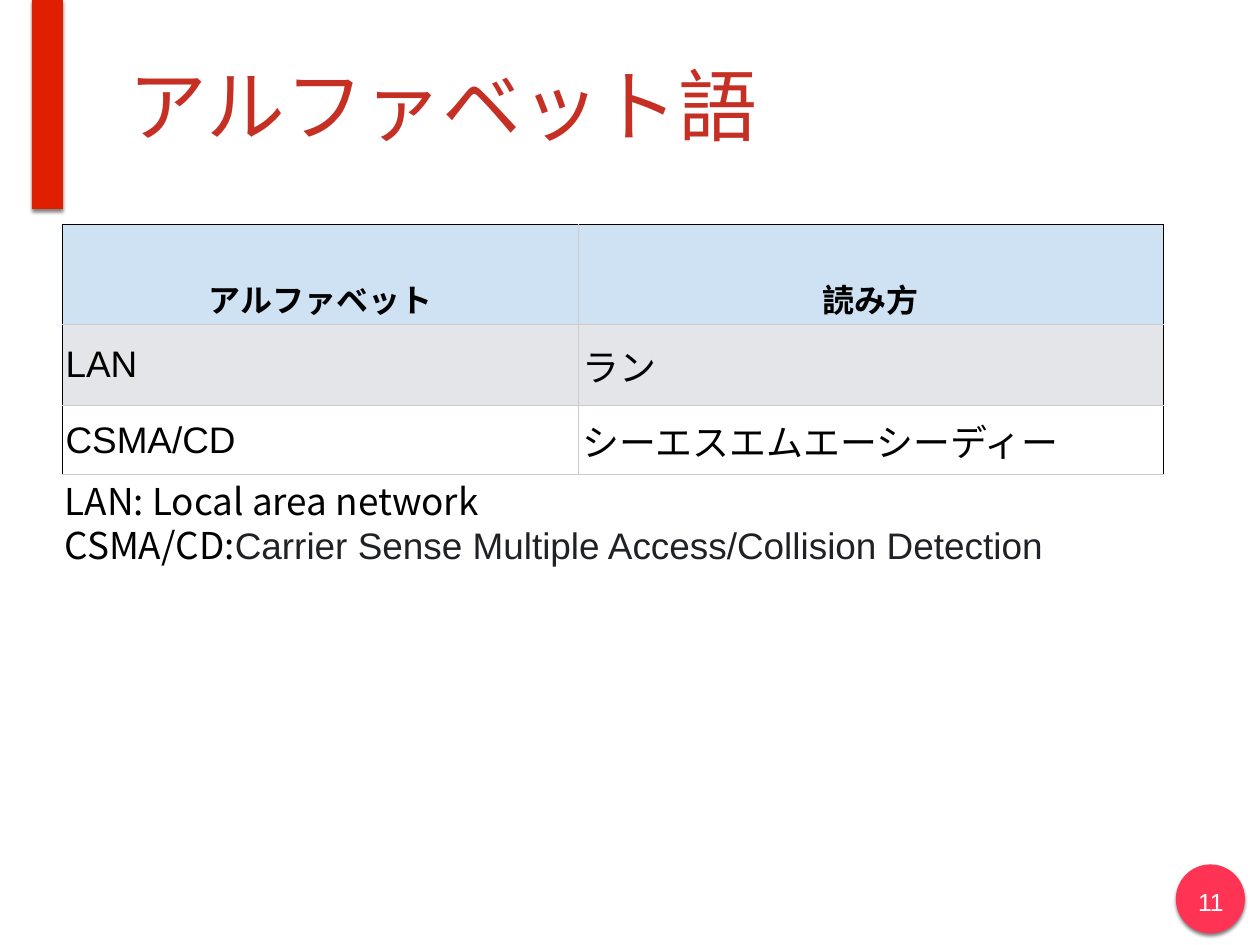
from dataclasses import dataclass

from lxml.etree import SubElement
from pptx import Presentation
from pptx.dml.color import RGBColor
from pptx.enum.shapes import MSO_SHAPE
from pptx.enum.text import MSO_ANCHOR, MSO_AUTO_SIZE, PP_ALIGN
from pptx.oxml import parse_xml
from pptx.oxml.ns import nsdecls, qn
from pptx.util import Inches, Pt

COLORS = {
    "accent": "DF1F00", "badge": "FF3455", "title": "C63024",
    "header": "CFE2F3", "band": "E3E5E8", "white": "FFFFFF",
    "black": "000000", "grid": "CCCCCC", "detail": "202124",
}
JAPANESE = "Noto Sans CJK JP"


@dataclass
class Ornament:
    kind: MSO_SHAPE
    bounds: tuple[float, float, float, float]
    color: str


@dataclass
class Row:
    height: float
    texts: tuple[str, str]
    fill: str
    heading: bool = False


ORNAMENTS = [
    Ornament(MSO_SHAPE.OVAL, (13.27, 9.76, 0.78, 0.78), "badge"),
    Ornament(MSO_SHAPE.RECTANGLE, (0.36, 0, 0.35, 2.36), "accent"),
]
ROWS = [
    Row(0.71, ("アルファベット", "読み方"), "header", True),
    Row(0.92, ("LAN", "ラン"), "band"),
    Row(0.78, ("CSMA/CD", "シーエスエムエーシーディー"), "white"),
]
COLUMN_WIDTHS = [5.83, 6.6]


def color_of(name: str) -> RGBColor:
    return RGBColor.from_string(COLORS[name])


def lengths(bounds) -> list:
    return [Inches(value) for value in bounds]


def write(para, text: str, *, size: float, color: str = "black", font: str = "Arial",
          bold: bool = False, align=PP_ALIGN.LEFT, spacing: float | None = None) -> None:
    """Append a formatted span of text to a paragraph."""
    para.alignment = align
    if spacing:
        para.line_spacing = spacing
    span = para.add_run()
    span.text = text
    span.font.size = Pt(size)
    span.font.bold = bold
    span.font.name = font
    span.font.color.rgb = color_of(color)
    SubElement(span.font._element, qn("a:ea"), typeface=JAPANESE)


def set_frame(frame, margin: float, anchor=MSO_ANCHOR.TOP) -> None:
    frame.word_wrap = True
    frame.auto_size = MSO_AUTO_SIZE.NONE
    frame.vertical_anchor = anchor
    frame.margin_left = frame.margin_right = Inches(margin)
    frame.margin_top = frame.margin_bottom = Inches(margin)


def add_ornament(page, ornament: Ornament) -> None:
    shape = page.shapes.add_shape(ornament.kind, *lengths(ornament.bounds))
    shape.fill.solid()
    shape.fill.fore_color.rgb = color_of(ornament.color)
    shape.line.fill.background()
    shape._element.spPr.append(parse_xml(
        f'<a:effectLst {nsdecls("a")}>'
        f'<a:outerShdw blurRad="{Pt(3)}" dist="{Pt(2)}" dir="5400000" rotWithShape="0">'
        f'<a:srgbClr val="{COLORS["black"]}"><a:alpha val="50000"/></a:srgbClr>'
        '</a:outerShdw></a:effectLst>'))


def add_box(page, bounds: tuple[float, float, float, float], margin: float):
    box = page.shapes.add_textbox(*lengths(bounds))
    set_frame(box.text_frame, margin)
    return box.text_frame


def set_borders(cell, **edges: str) -> None:
    properties = cell._tc.get_or_add_tcPr()
    for position, (side, color) in enumerate(edges.items()):
        properties.insert(position, parse_xml(
            f'<a:ln{side} {nsdecls("a")} w="{Pt(1)}"><a:solidFill>'
            f'<a:srgbClr val="{COLORS[color]}"/></a:solidFill></a:ln{side}>'))


def add_reading_table(page) -> None:
    heights = [row.height for row in ROWS]
    bounds = (0.7, 2.53, sum(COLUMN_WIDTHS), sum(heights))
    table = page.shapes.add_table(len(ROWS), len(COLUMN_WIDTHS), *lengths(bounds)).table
    for column, width in zip(table.columns, COLUMN_WIDTHS):
        column.width = Inches(width)
    for row_index, row in enumerate(ROWS):
        table.rows[row_index].height = Inches(row.height)
        for column_index, text in enumerate(row.texts):
            cell = table.cell(row_index, column_index)
            cell.vertical_anchor = MSO_ANCHOR.MIDDLE
            cell.margin_left = cell.margin_right = Inches(0.04)
            cell.margin_top = cell.margin_bottom = Inches(0.03)
            cell.fill.solid()
            cell.fill.fore_color.rgb = color_of(row.fill)
            set_borders(
                cell,
                L="black" if column_index == 0 else "grid",
                R="black" if column_index == len(COLUMN_WIDTHS) - 1 else "grid",
                T="black" if row_index == 0 else "grid",
                B="grid")
            write(cell.text_frame.paragraphs[0], text,
                  size=26 if row.heading else 30, bold=row.heading,
                  align=PP_ALIGN.CENTER if row.heading else PP_ALIGN.LEFT,
                  spacing=2.05 if row.heading else None)


def main() -> None:
    deck = Presentation()
    deck.slide_width, deck.slide_height = Inches(14.22), Inches(10.67)
    page = deck.slides.add_slide(deck.slide_layouts[5])
    for ornament in ORNAMENTS:
        add_ornament(page, ornament)

    number = add_box(page, (13.42, 9.95, 0.49, 0.45), 0.06)
    write(number.paragraphs[0], "11", size=20, color="white", align=PP_ALIGN.CENTER)

    title = page.shapes.title
    title.left, title.top, title.width, title.height = lengths((1.39, 0.12, 12.14, 2.12))
    set_frame(title.text_frame, 0.06, MSO_ANCHOR.MIDDLE)
    write(title.text_frame.paragraphs[0], "アルファベット語", size=64, color="title")

    add_reading_table(page)

    notes = add_box(page, (0.63, 5.3, 12.56, 1.21), 0.1)
    write(notes.paragraphs[0], "LAN: Local area network", size=30, font=JAPANESE)
    expansion = notes.add_paragraph()
    write(expansion, "CSMA/CD:", size=30, font=JAPANESE)
    write(expansion, "Carrier Sense Multiple Access/Collision Detection",
          size=30, color="detail")
    deck.save("out.pptx")


if __name__ == "__main__":
    main()
